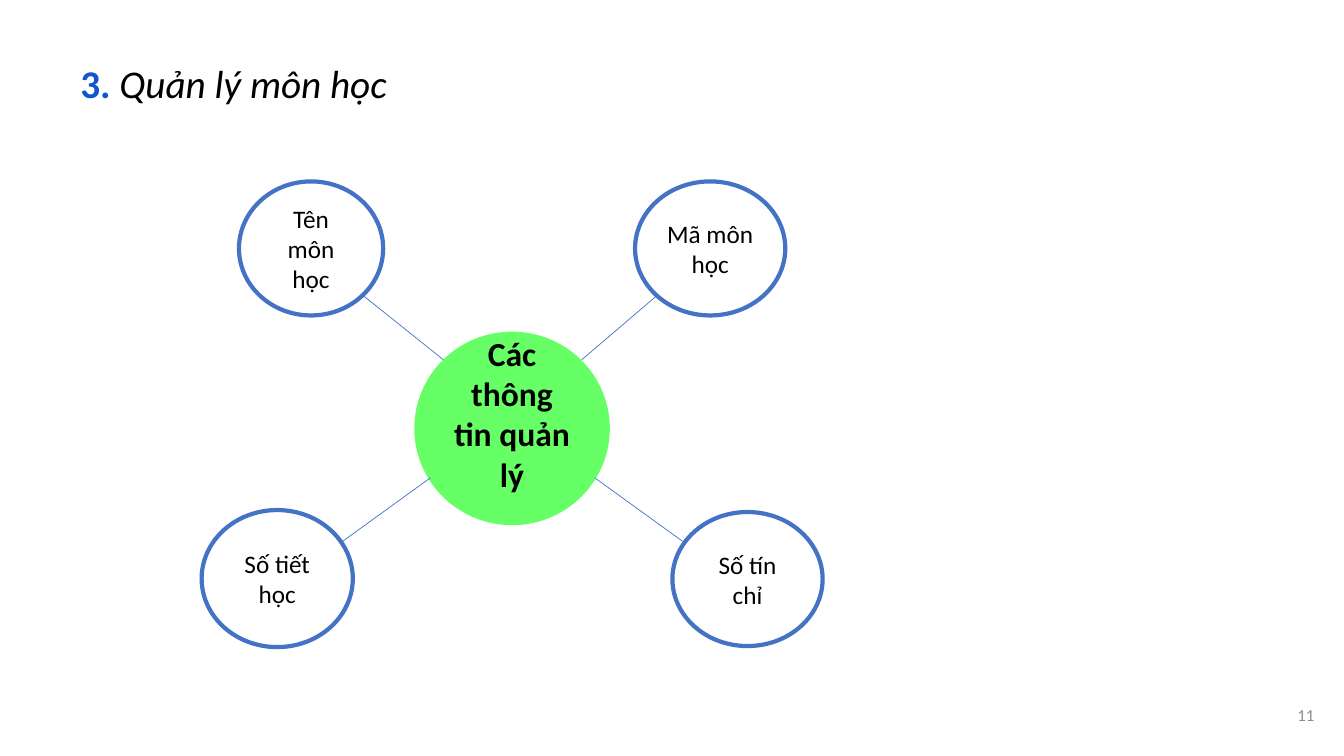
from dataclasses import dataclass

from lxml import etree
from pptx import Presentation
from pptx.dml.color import RGBColor
from pptx.enum.shapes import MSO_CONNECTOR, MSO_SHAPE
from pptx.enum.text import MSO_ANCHOR, MSO_AUTO_SIZE, PP_ALIGN
from pptx.oxml.ns import qn
from pptx.util import Inches, Pt

OVAL = MSO_SHAPE.OVAL
LINE = MSO_CONNECTOR.STRAIGHT
MID, LOW = MSO_ANCHOR.MIDDLE, MSO_ANCHOR.BOTTOM
FIXED = MSO_AUTO_SIZE.NONE
LEFT, MIDST, RIGHT = PP_ALIGN.LEFT, PP_ALIGN.CENTER, PP_ALIGN.RIGHT
WIDE, HIGH = Inches(13.33), Inches(7.5)
BLUE, BLACK = "4472C4", "000000"
PAD = Inches(0.13)
FRAME = {"word_wrap": True, "auto_size": FIXED, "vertical_anchor": MID}
INSET = {"margin_left": PAD, "margin_right": PAD, "margin_top": PAD, "margin_bottom": PAD}


@dataclass
class Box:
    col: float
    row: float
    cols: float
    rows: float


@dataclass
class Topic:
    text: str
    box: Box
    start: tuple[float, float]
    end: tuple[float, float]


TOPICS = [
    Topic("Mã môn học", Box(47.25, 24, 11.18, 17.73), (48.9, 39.07), (43.28, 47.6)),
    Topic("Tên môn học", Box(17.78, 24, 10.73, 17.73), (27, 39.07), (33, 47.6)),
    Topic("Số tiết học", Box(15, 67.47, 11.25, 18.13), (25.5, 71.6), (32.03, 63.2)),
    Topic("Số tín chỉ", Box(50.03, 67.73, 11.18, 17.73), (50.78, 71.6), (44.25, 63.2)),
]


def tint(code: str) -> RGBColor:
    return RGBColor.from_string(code)


def spot(col: float, row: float) -> tuple[int, int]:
    return round(WIDE * col / 100), round(HIGH * row / 100)


def place(box: Box) -> tuple[int, int, int, int]:
    return spot(box.col, box.row) + spot(box.cols, box.rows)


def apply(item, form: dict) -> None:
    for key, value in form.items():
        setattr(item, key, value)


def write(para, text: str, size: float, code: str, **form) -> None:
    run = para.add_run()
    run.text = text
    apply(run.font, {"name": "Calibri", "size": Pt(size), **form})
    run.font.color.rgb = tint(code)


def disc(slide, box: Box, text: str, fill: str, size: float, bold: bool = False):
    shape = slide.shapes.add_shape(OVAL, *place(box))
    shape.shadow.inherit = False
    shape.fill.solid()
    shape.fill.fore_color.rgb = tint(fill)
    apply(shape.text_frame, FRAME)
    para = shape.text_frame.paragraphs[0]
    para.alignment = MIDST
    write(para, text, size, BLACK, bold=bold)
    return shape


def link(slide, topic: Topic) -> None:
    line = slide.shapes.add_connector(LINE, *spot(*topic.start), *spot(*topic.end))
    line.line.color.rgb = tint(BLUE)
    line.line.width = Pt(0.5)
    etree.SubElement(line._element.spPr, qn("a:effectLst"))


def head(slide) -> None:
    title = slide.shapes.title
    apply(title, dict(zip(("left", "top", "width", "height"), place(Box(5, 4.93, 60.3, 16.67)))))
    apply(title.text_frame, FRAME | INSET | {"vertical_anchor": LOW, "margin_bottom": Inches(0.56)})
    para = title.text_frame.paragraphs[0]
    apply(para, {"alignment": LEFT, "line_spacing": 0.9})
    write(para, "3.", 28, "1155CC", bold=True)
    write(para, " Quản lý môn học", 28, BLACK, bold=False, italic=True)


def folio(slide) -> None:
    frame = slide.shapes.add_textbox(*place(Box(92.78, 90.8, 6, 7.6))).text_frame
    apply(frame, FRAME | INSET)
    para = frame.paragraphs[0]
    para.alignment = RIGHT
    write(para, "11", 12, "8C8C8C")


def main() -> None:
    deck = Presentation()
    apply(deck, {"slide_width": WIDE, "slide_height": HIGH})
    slide = deck.slides.add_slide(deck.slide_layouts[5])
    head(slide)
    folio(slide)
    hub = disc(slide, Box(30.83, 43.87, 14.55, 25.6), "Các thông tin quản lý", "66FF66", 24, True)
    hub.line.fill.background()
    hub.text_frame.margin_bottom = Inches(0.35)
    for topic in TOPICS:
        ring = disc(slide, topic.box, topic.text, "FFFFFF", 18)
        ring.line.color.rgb = tint(BLUE)
        ring.line.width = Pt(3)
        link(slide, topic)
    deck.save("out.pptx")


if __name__ == "__main__":
    main()
